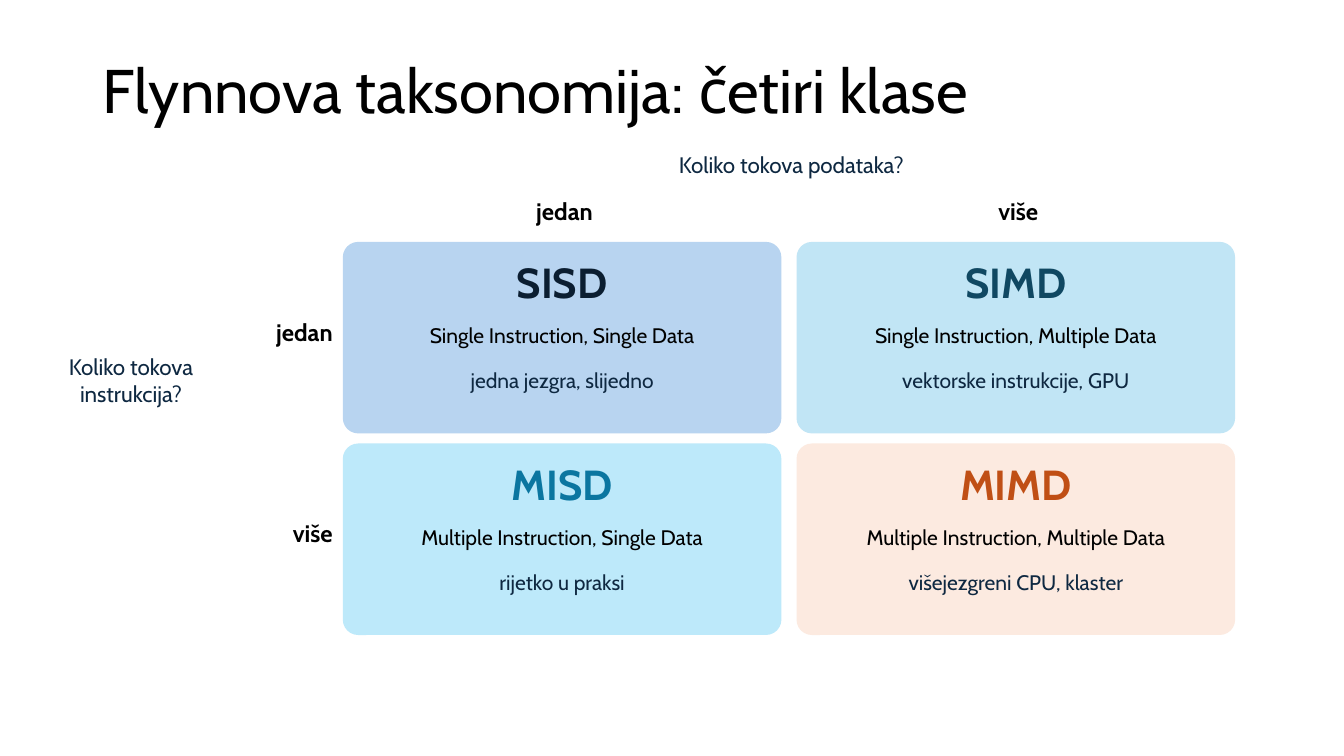
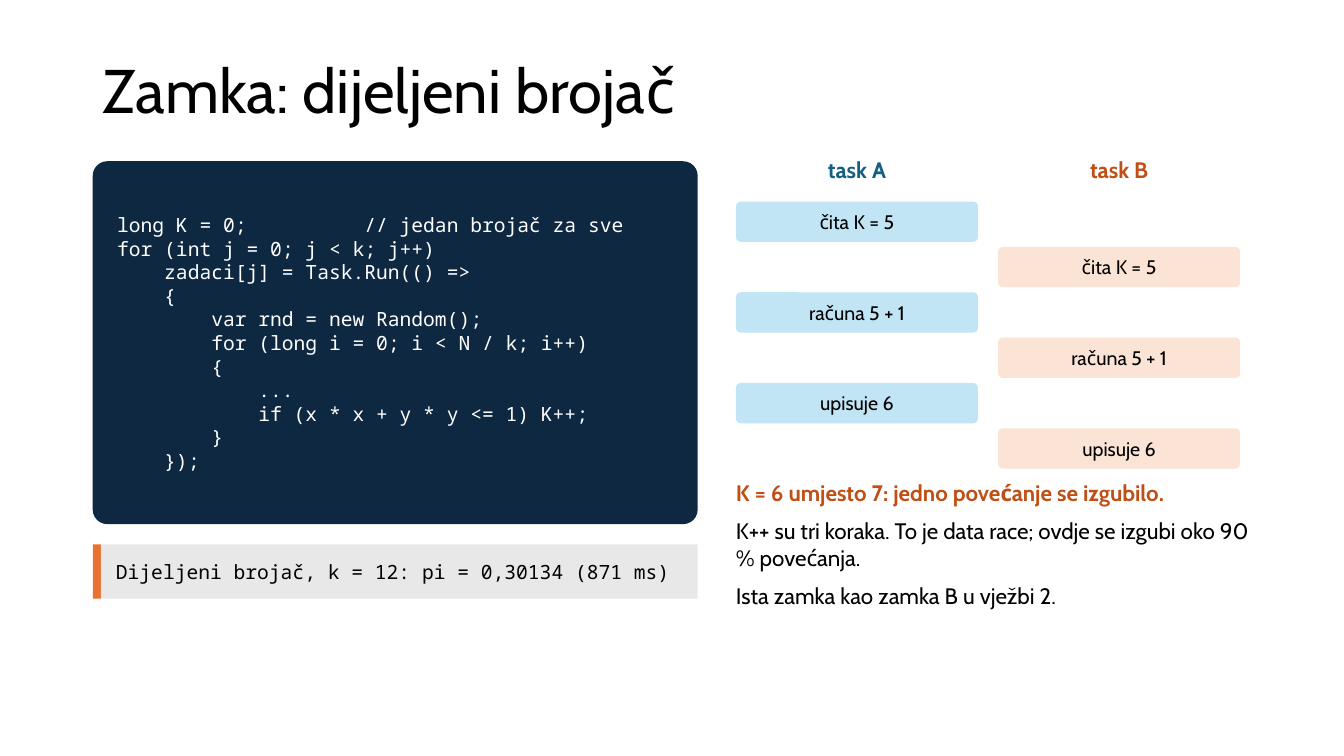
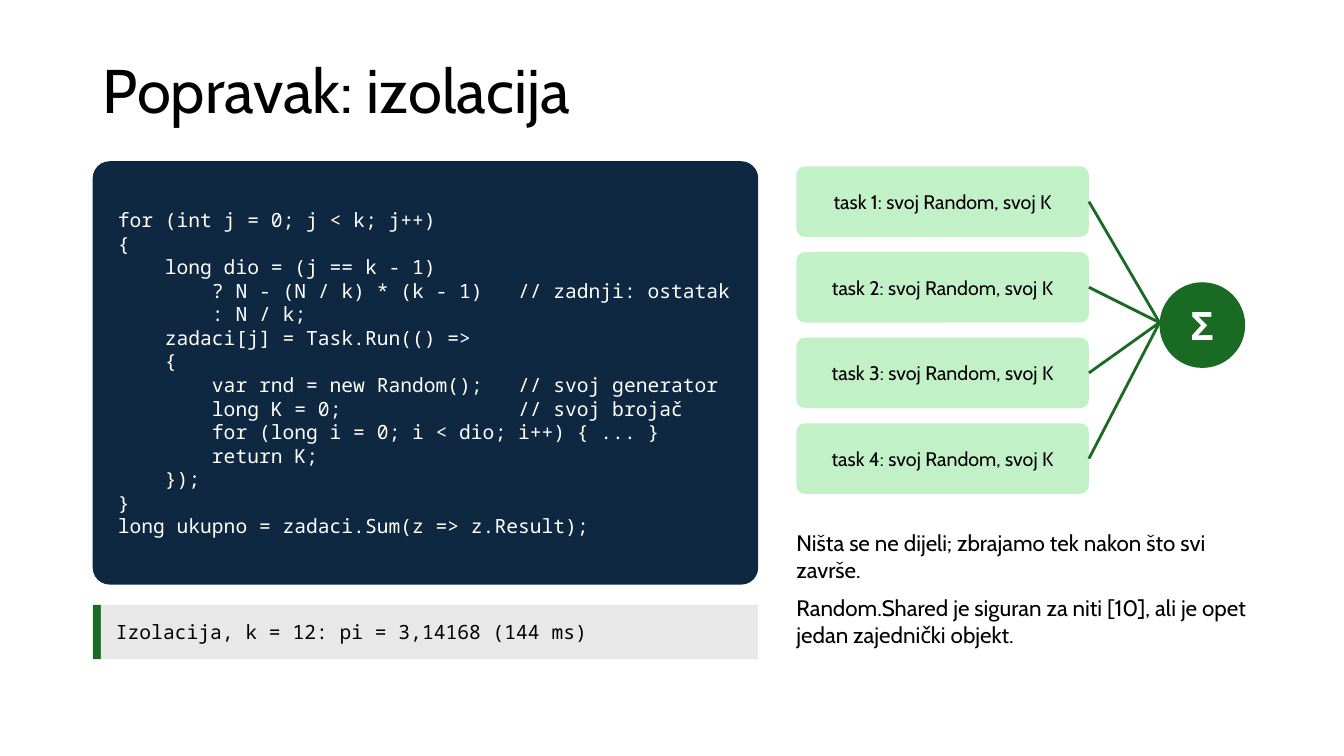
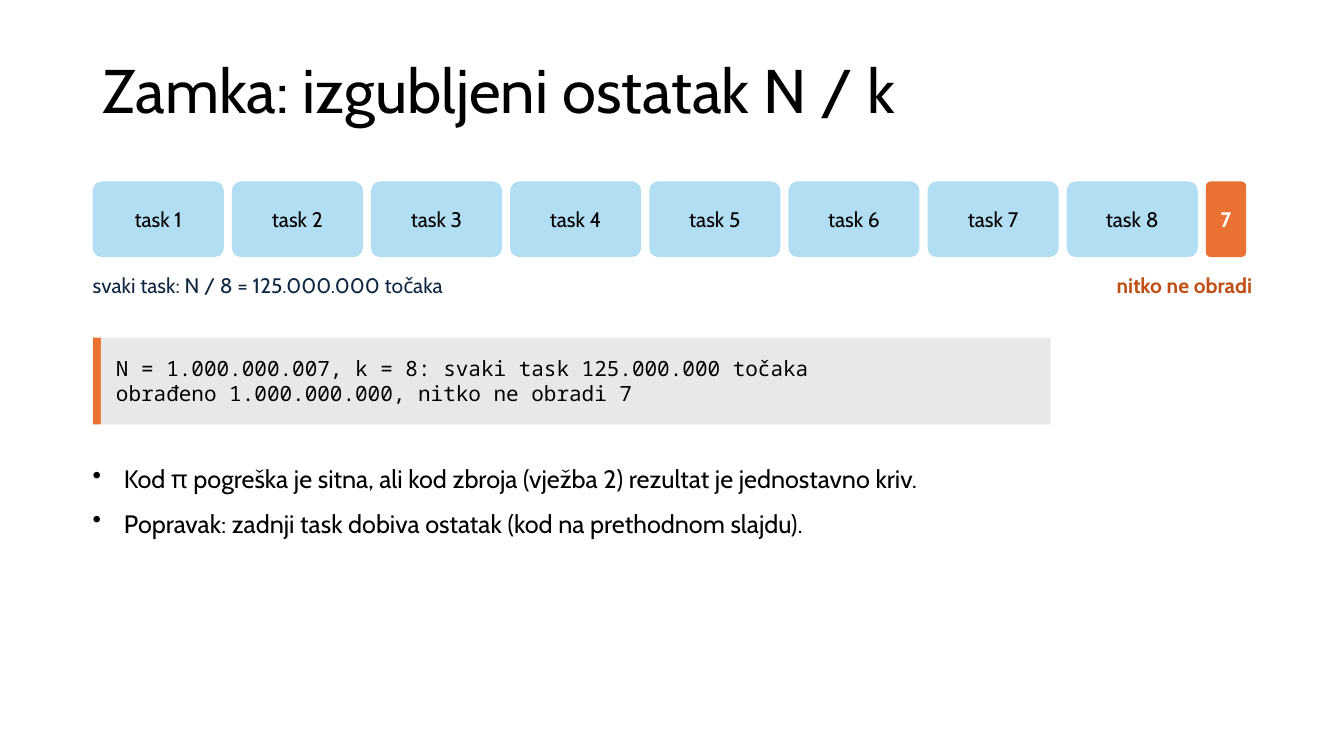
from dataclasses import dataclass, replace
from typing import NamedTuple

from lxml import etree
from pptx import Presentation
from pptx.dml.color import RGBColor
from pptx.enum.shapes import MSO_CONNECTOR, MSO_SHAPE
from pptx.enum.text import MSO_ANCHOR, MSO_AUTO_SIZE, PP_ALIGN
from pptx.oxml.ns import qn
from pptx.shapes.autoshape import Shape
from pptx.slide import Slide
from pptx.text.text import TextFrame
from pptx.util import Inches, Pt

LEFT, CENTER, RIGHT = PP_ALIGN.LEFT, PP_ALIGN.CENTER, PP_ALIGN.RIGHT
TOP, MIDDLE = MSO_ANCHOR.TOP, MSO_ANCHOR.MIDDLE
ROUNDED, RECTANGLE, OVAL = MSO_SHAPE.ROUNDED_RECTANGLE, MSO_SHAPE.RECTANGLE, MSO_SHAPE.OVAL
STRAIGHT = MSO_CONNECTOR.STRAIGHT
RIGHT_SIDE = 3

COLORS = {
    "black": "000000",
    "white": "FFFFFF",
    "navy": "0E2841",
    "grey": "E8E8E8",
    "orange": "E97132",
    "rust": "C04F15",
    "peach": "FBE3D6",
    "green": "196B24",
    "mint": "C2F1C8",
    "teal": "156082",
    "sky": "C1E5F5",
    "task_blue": "B2DEF3",
    "sisd_fill": "B8D4F0",
    "sisd_text": "0B1E31",
    "simd_text": "104862",
    "misd_fill": "BDE9FA",
    "misd_text": "0B76A0",
    "mimd_fill": "FCEAE0",
}
SANS, MONO = "Cabin", "Noto Sans Mono"
MARGIN = 0.92
NO_INSETS = (0, 0, 0, 0)
TITLE_INSETS = (0.1, 0.05, 0.1, 0.05)
LABEL_INSETS = (0.05, 0.02, 0.05, 0.02)
CODE_INSETS = (0.2, 0.05, 0.1, 0.05)
OUTPUT_INSETS = (0.15, 0.05, 0.1, 0.05)


class Area(NamedTuple):
    left: float
    top: float
    width: float
    height: float


@dataclass(frozen=True)
class Style:
    size: float
    color: str = "black"
    bold: bool = False
    align: PP_ALIGN = LEFT
    font: str = SANS
    space_after: float = 0
    bullet: bool = False
    line_spacing: float = 1.0


class FlynnClass(NamedTuple):
    acronym: str
    meaning: str
    example: str
    fill: str
    color: str


class Step(NamedTuple):
    column: int
    action: str


TITLE = Style(44, line_spacing=0.9)
QUESTION = Style(16, "navy", align=CENTER)
AXIS = Style(17, bold=True, align=CENTER)
BOX_LABEL = Style(14, align=CENTER)
TASK_LABEL = Style(15, align=CENTER)
CODE = Style(14, "white", font=MONO)
OUTPUT = Style(14, font=MONO)
REMARK = Style(16, space_after=8)
BULLETS = Style(18, space_after=10, bullet=True)

FLYNN_CLASSES = [
    FlynnClass("SISD", "Single Instruction, Single Data", "jedna jezgra, slijedno",
               "sisd_fill", "sisd_text"),
    FlynnClass("SIMD", "Single Instruction, Multiple Data", "vektorske instrukcije, GPU",
               "sky", "simd_text"),
    FlynnClass("MISD", "Multiple Instruction, Single Data", "rijetko u praksi",
               "misd_fill", "misd_text"),
    FlynnClass("MIMD", "Multiple Instruction, Multiple Data", "višejezgreni CPU, klaster",
               "mimd_fill", "rust"),
]

STEPS = [Step(column, action)
         for action in ("čita K = 5", "računa 5 + 1", "upisuje 6")
         for column in (0, 1)]

SHARED_COUNTER_CODE = """long K = 0;          // jedan brojač za sve
for (int j = 0; j < k; j++)
    zadaci[j] = Task.Run(() =>
    {
        var rnd = new Random();
        for (long i = 0; i < N / k; i++)
        {
            ...
            if (x * x + y * y <= 1) K++;
        }
    });"""

ISOLATION_CODE = """for (int j = 0; j < k; j++)
{
    long dio = (j == k - 1)
        ? N - (N / k) * (k - 1)   // zadnji: ostatak
        : N / k;
    zadaci[j] = Task.Run(() =>
    {
        var rnd = new Random();   // svoj generator
        long K = 0;               // svoj brojač
        for (long i = 0; i < dio; i++) { ... }
        return K;
    });
}
long ukupno = zadaci.Sum(z => z.Result);"""


def rgb(name: str) -> RGBColor:
    return RGBColor.from_string(COLORS[name])


def write(frame: TextFrame, text: str, styles: list[Style],
          insets: tuple[float, ...], anchor: MSO_ANCHOR) -> None:
    frame.word_wrap = True
    frame.vertical_anchor = anchor
    (frame.margin_left, frame.margin_top,
     frame.margin_right, frame.margin_bottom) = map(Inches, insets)
    frame.text = text
    for index, paragraph in enumerate(frame.paragraphs):
        style = styles[min(index, len(styles) - 1)]
        if style.bullet:
            properties = paragraph._p.get_or_add_pPr()
            properties.set("marL", str(Inches(0.31)))
            properties.set("indent", str(Inches(-0.31)))
            etree.SubElement(properties, qn("a:buChar"), char="•")
        paragraph.alignment = style.align
        paragraph.line_spacing = style.line_spacing
        paragraph.space_after = Pt(style.space_after)
        for run in paragraph.runs:
            run.font.name = style.font
            run.font.size = Pt(style.size)
            run.font.bold = style.bold
            run.font.color.rgb = rgb(style.color)


def add_text(slide: Slide, area: Area, text: str, *styles: Style) -> None:
    frame = slide.shapes.add_textbox(*map(Inches, area)).text_frame
    write(frame, text, list(styles), NO_INSETS, TOP)
    frame.auto_size = MSO_AUTO_SIZE.SHAPE_TO_FIT_TEXT


def add_box(slide: Slide, area: Area, fill: str, text: str = "", style: Style = BOX_LABEL,
            outline: MSO_SHAPE = ROUNDED, rounding: float = 0.12,
            insets: tuple[float, ...] = LABEL_INSETS) -> Shape:
    box = slide.shapes.add_shape(outline, *map(Inches, area))
    box.shadow.inherit = False
    box.fill.solid()
    box.fill.fore_color.rgb = rgb(fill)
    box.line.fill.background()
    if outline == ROUNDED:
        box.adjustments[0] = rounding
    if text:
        write(box.text_frame, text, [style], insets, MIDDLE)
    return box


def add_code(slide: Slide, width: float, height: float, code: str) -> None:
    add_box(slide, Area(MARGIN, 1.6, width, height), "navy", code, CODE,
            rounding=0.04, insets=CODE_INSETS)


def add_output(slide: Slide, area: Area, accent: str, text: str, style: Style = OUTPUT) -> None:
    stripe = 0.08
    add_box(slide, area._replace(width=stripe), accent, outline=RECTANGLE)
    add_box(slide, area._replace(left=area.left + stripe, width=area.width - stripe), "grey",
            text, style, RECTANGLE, insets=OUTPUT_INSETS)


def add_link(slide: Slide, source: Shape, x: float, y: float) -> None:
    link = slide.shapes.add_connector(STRAIGHT, source.left + source.width,
                                      source.top + source.height // 2, Inches(x), Inches(y))
    link.begin_connect(source, RIGHT_SIDE)
    link.line.color.rgb = rgb("green")
    link.line.width = Pt(2)
    etree.SubElement(link._element.spPr, qn("a:effectLst"))


def add_titled_slide(deck: Presentation, title: str) -> Slide:
    slide = deck.slides.add_slide(deck.slide_layouts[6])
    heading = slide.shapes.add_textbox(*map(Inches, Area(MARGIN, 0.4, 11.5, 1.06)))
    write(heading.text_frame, title, [TITLE], TITLE_INSETS, MIDDLE)
    return slide


def build_taxonomy(deck: Presentation) -> None:
    slide = add_titled_slide(deck, "Flynnova taksonomija: četiri klase")
    left, top, column_step, row_step = 3.4, 2.4, 4.5, 2
    add_text(slide, Area(left, 1.5, 8.9, 0.4), "Koliko tokova podataka?", QUESTION)
    add_text(slide, Area(0.3, 3.5, 2, 1.4), "Koliko tokova\ninstrukcija?", QUESTION)
    for index, amount in enumerate(("jedan", "više")):
        add_text(slide, Area(left + index * column_step, 1.95, 4.4, 0.4), amount, AXIS)
        add_text(slide, Area(2.2, 3.15 + index * row_step, 1.1, 0.4), amount,
                 replace(AXIS, align=RIGHT))
    for index, flynn in enumerate(FLYNN_CLASSES):
        row, column = divmod(index, 2)
        x, y = left + column * column_step, top + row * row_step
        add_box(slide, Area(x, y, 4.35, 1.9), flynn.fill, rounding=0.08)
        for offset, height, text, style in (
            (0.15, 0.6, flynn.acronym, Style(30, flynn.color, True, CENTER)),
            (0.8, 0.4, flynn.meaning, TASK_LABEL),
            (1.25, 0.4, flynn.example, replace(TASK_LABEL, color="navy")),
        ):
            add_text(slide, Area(x + 0.2, y + offset, 3.95, height), text, style)


def build_shared_counter(deck: Presentation) -> None:
    slide = add_titled_slide(deck, "Zamka: dijeljeni brojač")
    add_code(slide, 6, 3.6, SHARED_COUNTER_CODE)
    add_output(slide, Area(MARGIN, 5.4, 6, 0.54), "orange",
               "Dijeljeni brojač, k = 12: pi = 0,30134 (871 ms)")
    columns = (7.3, 9.9)
    for x, task, color in zip(columns, ("task A", "task B"), ("teal", "rust")):
        add_text(slide, Area(x, 1.55, 2.4, 0.4), task, Style(16, color, True, CENTER))
    for index, step in enumerate(STEPS):
        add_box(slide, Area(columns[step.column], 2 + index * 0.45, 2.4, 0.4),
                ("sky", "peach")[step.column], step.action)
    add_text(slide, Area(columns[0], 4.75, 5.2, 2),
             "K = 6 umjesto 7: jedno povećanje se izgubilo.\n"
             "K++ su tri koraka. To je data race; ovdje se izgubi oko 90 % povećanja.\n"
             "Ista zamka kao zamka B u vježbi 2.",
             replace(REMARK, color="rust", bold=True), REMARK)


def build_isolation(deck: Presentation) -> None:
    slide = add_titled_slide(deck, "Popravak: izolacija")
    add_code(slide, 6.6, 4.2, ISOLATION_CODE)
    add_output(slide, Area(MARGIN, 6, 6.6, 0.54), "green",
               "Izolacija, k = 12: pi = 3,14168 (144 ms)")
    for index in range(4):
        task = add_box(slide, Area(7.9, 1.65 + index * 0.85, 2.9, 0.7), "mint",
                       f"task {index + 1}: svoj Random, svoj K")
        add_link(slide, task, 11.5, 3.2)
    add_box(slide, Area(11.5, 2.8, 0.85, 0.85), "green", "Σ",
            Style(28, "white", True, CENTER), OVAL)
    add_text(slide, Area(7.9, 5.25, 4.6, 1.5),
             "Ništa se ne dijeli; zbrajamo tek nakon što svi završe.\n"
             "Random.Shared je siguran za niti [10], ali je opet jedan zajednički objekt.",
             REMARK)


def build_lost_remainder(deck: Presentation) -> None:
    slide = add_titled_slide(deck, "Zamka: izgubljeni ostatak N / k")
    tasks, step, top, height = 8, 1.38, 1.8, 0.75
    for index in range(tasks):
        add_box(slide, Area(MARGIN + index * step, top, 1.3, height), "task_blue",
                f"task {index + 1}", TASK_LABEL)
    add_box(slide, Area(MARGIN + tasks * step, top, 0.4, height), "orange", "7",
            replace(TASK_LABEL, color="white", bold=True))
    add_text(slide, Area(MARGIN, 2.7, 8, 0.4), "svaki task: N / 8 = 125.000.000 točaka",
             Style(15, "navy"))
    add_text(slide, Area(8.42, 2.7, 4, 0.4), "nitko ne obradi", Style(15, "rust", True, RIGHT))
    add_output(slide, Area(MARGIN, 3.35, 9.5, 0.86), "orange",
               "N = 1.000.000.007, k = 8: svaki task 125.000.000 točaka\n"
               "obrađeno 1.000.000.000, nitko ne obradi 7",
               replace(OUTPUT, size=15))
    add_text(slide, Area(MARGIN, 4.6, 11.5, 2),
             "Kod π pogreška je sitna, ali kod zbroja (vježba 2) rezultat je jednostavno kriv.\n"
             "Popravak: zadnji task dobiva ostatak (kod na prethodnom slajdu).",
             BULLETS)


def main() -> None:
    deck = Presentation()
    deck.slide_width, deck.slide_height = Inches(13.33), Inches(7.5)
    build_taxonomy(deck)
    build_shared_counter(deck)
    build_isolation(deck)
    build_lost_remainder(deck)
    deck.save("out.pptx")


if __name__ == "__main__":
    main()
